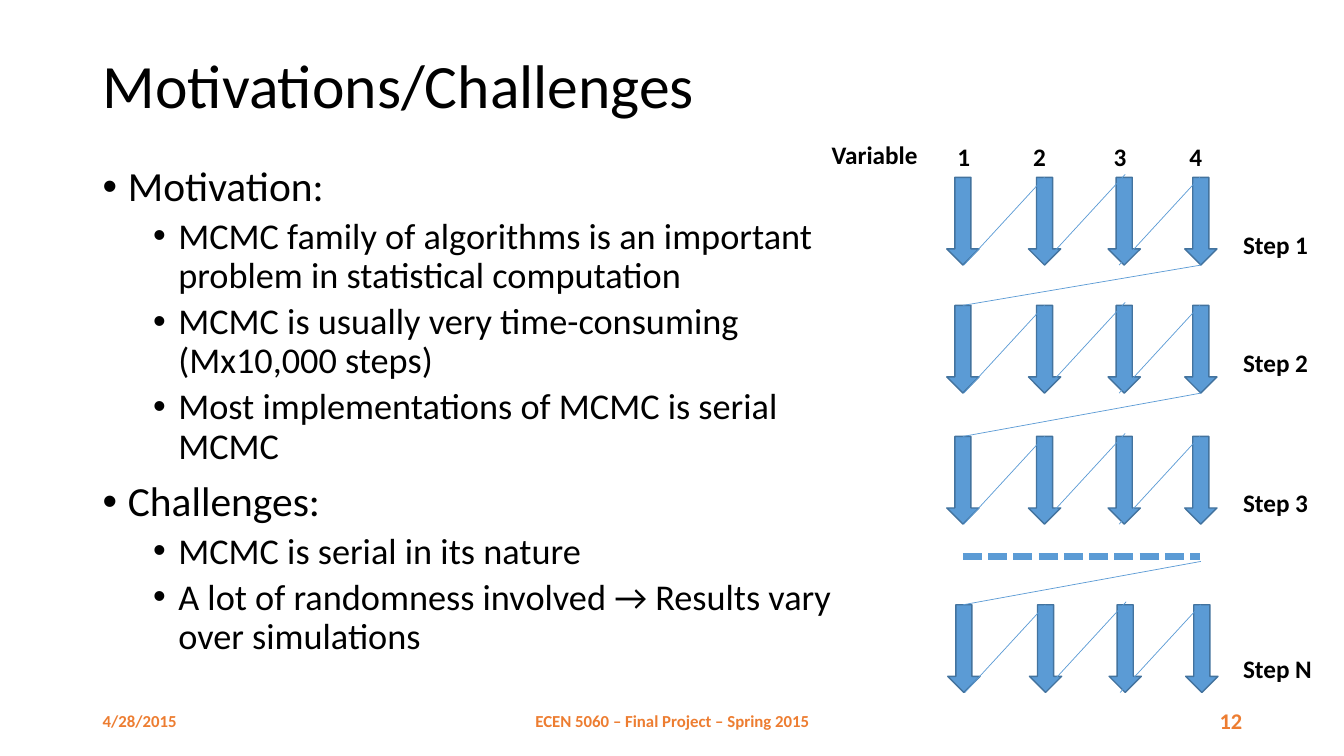
from pptx import Presentation
from pptx.dml.color import RGBColor
from pptx.enum.dml import MSO_LINE
from pptx.enum.shapes import MSO_CONNECTOR, MSO_SHAPE
from pptx.enum.text import MSO_ANCHOR, PP_ALIGN
from pptx.oxml.ns import qn
from pptx.util import Inches, Pt
from lxml import etree

LEFT, MID, RIGHT = PP_ALIGN.LEFT, PP_ALIGN.CENTER, PP_ALIGN.RIGHT
TOP, CENTER = MSO_ANCHOR.TOP, MSO_ANCHOR.MIDDLE
DOWN, STRAIGHT, DASH = MSO_SHAPE.DOWN_ARROW, MSO_CONNECTOR.STRAIGHT, MSO_LINE.SQUARE_DOT
color = RGBColor.from_string
BLACK, ORANGE, BLUE, EDGE = "000000", "ED7D31", "5B9BD5", "43739E"

deck = Presentation()
deck.slide_width, deck.slide_height = Inches(13.33), Inches(7.5)
slide = deck.slides.add_slide(deck.slide_layouts[6])
shapes = slide.shapes


def add_text(box, lines, tint=BLACK, bold=False, align=LEFT, anchor=TOP):
    """Add a text box; lines holds (text, size) pairs, one per paragraph."""
    frame = shapes.add_textbox(*[Inches(n) for n in box]).text_frame
    frame.word_wrap, frame.vertical_anchor = True, anchor
    for i, (text, size) in enumerate(lines):
        para = frame.add_paragraph() if i else frame.paragraphs[0]
        para.alignment = align
        run = para.add_run()
        run.text = text
        font = run.font
        font.name, font.size, font.bold = "Calibri", Pt(size), bold
        font.color.rgb = color(tint)
    return frame


def add_line(x1, y1, x2, y2, width=0.5):
    ends = [Inches(n) for n in (x1, y1, x2, y2)]
    link = shapes.add_connector(STRAIGHT, *ends)
    link.line.color.rgb, link.line.width = color(BLUE), Pt(width)
    etree.SubElement(link._element.spPr, qn("a:effectLst"))
    return link


# Title
title = add_text((0.92, 0.4, 11.5, 0.95), [("Motivations/Challenges", 44)], anchor=CENTER)
title.paragraphs[0].line_spacing = 0.9

# Bullet list
HEAD, ITEM = 29.6, 25.9
points = [
    ("Motivation:", HEAD),
    ("MCMC family of algorithms is an important problem in statistical computation", ITEM),
    ("MCMC is usually very time-consuming (Mx10,000 steps)", ITEM),
    ("Most implementations of MCMC is serial MCMC", ITEM),
    ("Challenges:", HEAD),
    ("MCMC is serial in its nature", ITEM),
    ("A lot of randomness involved → Results vary over simulations", ITEM),
]
body = add_text((0.92, 1.6, 7.52, 5.16), points)
for para, (text, size) in zip(body.paragraphs, points):
    level = 0 if size == HEAD else 1
    para.level, para.line_spacing = level, 0.9
    para.space_before = Pt(5 if level else 10)
    props = para._p.get_or_add_pPr()
    props.set("marL", str(Inches(0.25 + 0.5 * level)))
    props.set("indent", str(Inches(-0.25)))
    etree.SubElement(props, qn("a:buFont"), typeface="Arial")
    etree.SubElement(props, qn("a:buChar"), char="•")

# Footer
for left, width, text, size, align in [
    (0.92, 3, "4/28/2015", 12, LEFT),
    (4.42, 4.5, "ECEN 5060 – Final Project – Spring 2015", 12, MID),
    (9.42, 3, "12", 16, RIGHT),
]:
    add_text((left, 6.95, width, 0.4), [(text, size)], ORANGE, True, align, CENTER)

# Steps: four arrows each, joined by thin zigzag lines
TALL = 0.87
steps = [
    ("Step 1", 9.39, 1.76, 2.23),
    ("Step 2", 9.39, 3.03, 3.4),
    ("Step 3", 9.39, 4.33, 4.79),
    ("Step N", 9.4, 6, 6.43),
]
for name, left, top, label in steps:
    for shift in (0, 0.81, 1.6, 2.36):
        box = [Inches(n) for n in (left + shift, top, 0.32, TALL)]
        arrow = shapes.add_shape(DOWN, *box)
        arrow.shadow.inherit = False
        arrow.fill.solid()
        arrow.fill.fore_color.rgb = color(BLUE)
        arrow.line.color.rgb, arrow.line.width = color(EDGE), Pt(1)
    for shift, lift in ((0.17, 0), (0.97, 0.03), (1.71, 0)):
        start = left + shift
        add_line(start, top + TALL - lift, start + 0.8, top - lift)
    add_text((12.23, label, 1.09, 0.4), [(name, 18)], bold=True)

# Links from the end of one step to the start of the next
for end, start in ((2.63, 3.03), (3.9, 4.33), (5.57, 6)):
    add_line(11.91, end, 9.55, start)
add_line(9.55, 5.52, 11.9, 5.52, 4.5).line.dash_style = DASH

# Variable header
add_text((8.15, 1.33, 1.32, 0.4), [("Variable", 18)], bold=True)
for number, mid in enumerate((9.56, 10.31, 11.11, 11.86), 1):
    add_text((mid - 0.2, 1.35, 0.4, 0.4), [(str(number), 18)], bold=True, align=MID)

deck.save("out.pptx")
